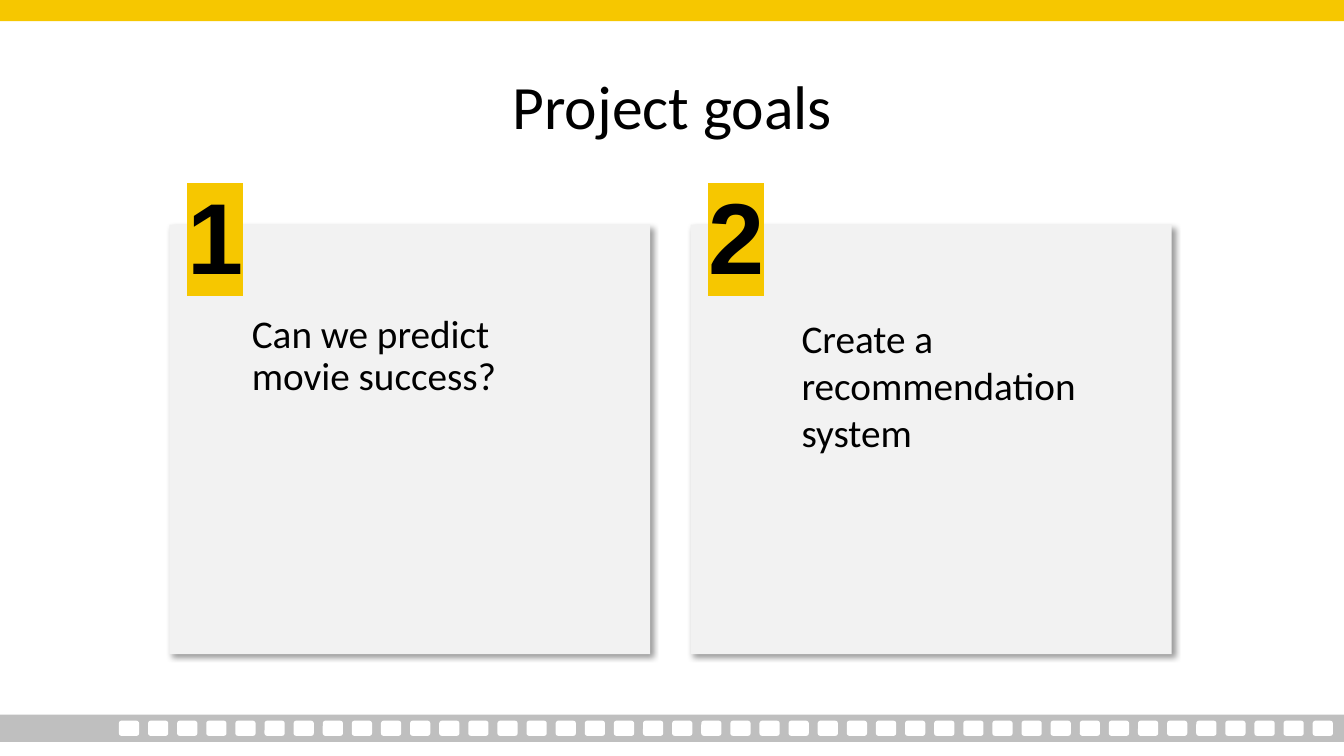
import pptx
import pptx.dml.color
import pptx.enum.shapes
import pptx.enum.text
import pptx.oxml
import pptx.oxml.ns
import pptx.util
from pptx.util import Inches

COLORS = {
    "yellow": "F6C700",
    "film": "BFBFBF",
    "card": "F2F2F2",
    "white": "FFFFFF",
    "black": "000000",
}
NS = pptx.oxml.ns.nsdecls("a")
SHAPES = pptx.enum.shapes.MSO_SHAPE
ALIGN = pptx.enum.text.PP_ALIGN
ANCHOR = pptx.enum.text.MSO_ANCHOR


def rgb(name):
    return pptx.dml.color.RGBColor.from_string(COLORS[name])


class GoalsSlide:
    """Holds the style and the current slide."""

    font = "Calibri"
    number_font = "Arial"

    def __init__(self, deck):
        self.slide = deck.slides.add_slide(deck.slide_layouts[1])

    def block(self, left, top, width, height, color, kind=SHAPES.RECTANGLE):
        block = self.slide.shapes.add_shape(
            kind, Inches(left), Inches(top), Inches(width), Inches(height))
        block.shadow.inherit = False
        block.fill.solid()
        block.fill.fore_color.rgb = rgb(color)
        block.line.fill.background()
        return block

    def card(self, left, top, width, height):
        card = self.block(left, top, width, height, "card")
        effects = card._element.spPr.find(pptx.oxml.ns.qn("a:effectLst"))
        effects.append(pptx.oxml.parse_xml(
            f'<a:outerShdw {NS} blurRad="50800" dist="38100" dir="2700000" '
            f'algn="tl" rotWithShape="0"><a:srgbClr val="{COLORS["black"]}">'
            '<a:alpha val="40000"/></a:srgbClr></a:outerShdw>'))

    def fill_text(self, holder, text, size, align=ALIGN.LEFT, spacing=0.9,
                  anchor=ANCHOR.TOP, bold=False):
        frame = holder.text_frame
        frame.word_wrap = True
        frame.auto_size = pptx.enum.text.MSO_AUTO_SIZE.NONE
        frame.vertical_anchor = anchor
        paragraph = frame.paragraphs[0]
        paragraph.alignment = align
        paragraph.line_spacing = spacing
        paragraph.space_before = pptx.util.Pt(0)
        run = paragraph.add_run()
        run.text = text
        run.font.name = self.font
        run.font.size = pptx.util.Pt(size)
        run.font.bold = bold
        run.font.color.rgb = rgb("black")
        return paragraph

    def place(self, holder, left, top, width, height):
        holder.left, holder.top = Inches(left), Inches(top)
        holder.width, holder.height = Inches(width), Inches(height)
        return holder

    def title(self, text, *box):
        holder = self.place(self.slide.shapes.title, *box)
        self.fill_text(holder, text, 44, ALIGN.CENTER, anchor=ANCHOR.MIDDLE)

    def body(self, text, *box):
        holder = self.place(self.slide.placeholders[1], *box)
        properties = holder.text_frame.paragraphs[0]._p.get_or_add_pPr()
        properties.set("marL", "0")
        properties.set("indent", "0")
        properties.append(pptx.oxml.parse_xml(f"<a:buNone {NS}/>"))
        self.fill_text(holder, text, 28, spacing=1.0)

    def text(self, text, *box, **style):
        holder = self.slide.shapes.add_textbox(*map(Inches, box))
        return self.fill_text(holder, text, **style)

    def number(self, text, *box):
        paragraph = self.text(text, *box, size=72, align=ALIGN.RIGHT, bold=True)
        paragraph._p.get_or_add_pPr().set("rtl", "1")
        # Highlight follows the fill; right-to-left digits use the cs font
        properties = paragraph.runs[0].font._element
        fill = properties.find(pptx.oxml.ns.qn("a:solidFill"))
        fill.addnext(pptx.oxml.parse_xml(
            f'<a:highlight {NS}><a:srgbClr val="{COLORS["yellow"]}"/></a:highlight>'))
        properties.append(pptx.oxml.parse_xml(
            f'<a:cs {NS} typeface="{self.number_font}"/>'))


def main():
    deck = pptx.Presentation()
    deck.slide_width, deck.slide_height = Inches(13.33), Inches(7.5)
    goals = GoalsSlide(deck)

    # Film strip with evenly spaced holes, and top band
    goals.block(0, 7.09, 13.33, 0.27, "film")
    first_hole, last_hole, hole_count = 1.18, 13.02, 42
    pitch = (last_hole - first_hole) / (hole_count - 1)
    for hole in range(hole_count):
        goals.block(first_hole + hole * pitch, 7.15, 0.2, 0.15, "white",
                    SHAPES.ROUNDED_RECTANGLE)
    goals.block(0, 0, 13.33, 0.21, "yellow")

    # Numbered cards
    for number, card_left in (("1", 1.68), ("2", 6.85)):
        goals.card(card_left, 2.23, 4.77, 4.26)
        goals.number(number, card_left - 1.94, 1.81, 2.77, 4.76)

    # Title and goals
    goals.title("Project goals", 0.92, 0.36, 11.5, 1.45)
    goals.text("Can we predict movie success?", 2.4, 3.07, 3.48, 4.76, size=28)
    goals.body("Create a recommendation system", 7.85, 3.07, 2.99, 2.19)

    # Placeholders sit above the cards
    tree = goals.slide.shapes._spTree
    for holder in list(goals.slide.placeholders):
        tree.append(holder._element)

    deck.save("out.pptx")


if __name__ == "__main__":
    main()
